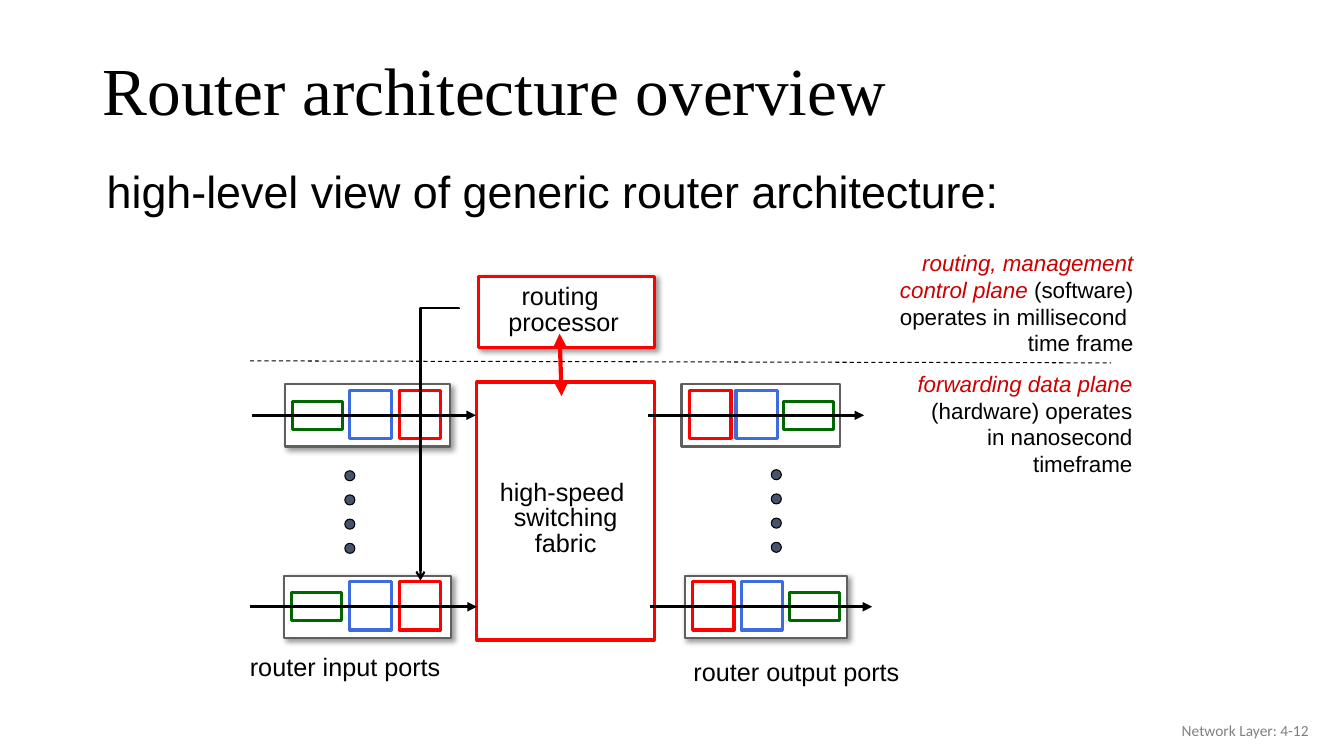
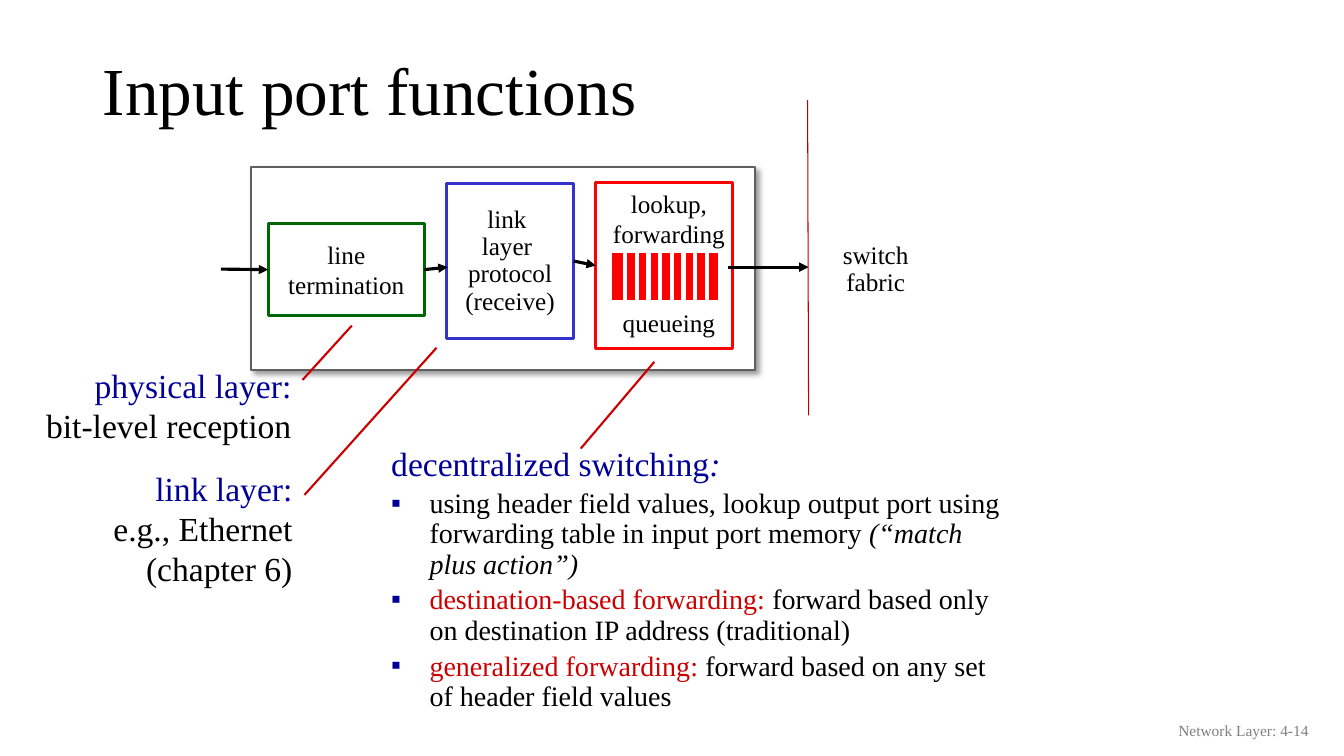
from dataclasses import dataclass

from lxml import etree
from pptx import Presentation
from pptx import util as u
from pptx.dml.color import RGBColor
from pptx.enum import dml, shapes, text
from pptx.oxml.ns import qn


@dataclass(frozen=True)
class Theme:
    black: str = "000000"
    white: str = "FFFFFF"
    red: str = "FF0000"
    accent: str = "CC0000"
    divider: str = "C00000"
    green: str = "006600"
    blue: str = "3C6CDF"
    link_blue: str = "3333CC"
    navy: str = "000099"
    slate: str = "44546A"
    frame_gray: str = "5F5F5F"
    footer_gray: str = "808080"
    sans: str = "Arial"
    serif: str = "Times New Roman"
    footer_font: str = "Calibri"
    title: int = 48
    subtitle: int = 32
    heading: int = 24
    body: int = 20
    label: int = 18
    note: int = 16
    footer: int = 11


theme = Theme()
STRAIGHT = shapes.MSO_CONNECTOR.STRAIGHT
RECTANGLE = shapes.MSO_SHAPE.RECTANGLE
LEFT, CENTER, RIGHT = text.PP_ALIGN.LEFT, text.PP_ALIGN.CENTER, text.PP_ALIGN.RIGHT


def style(item, color, weight, fill=None, shadow=False, head=None, tail=None):
    """Set outline, fill, shadow and arrowheads of a shape or connector."""
    item.line.color.rgb = RGBColor.from_string(color)
    item.line.width = u.Pt(weight)
    if fill:
        item.fill.solid()
        item.fill.fore_color.rgb = RGBColor.from_string(fill)
    properties = item._element.spPr
    for tag, kind in (("a:headEnd", head), ("a:tailEnd", tail)):
        if kind:
            etree.SubElement(properties.find(qn("a:ln")), qn(tag), type=kind)
    effects = etree.SubElement(properties, qn("a:effectLst"))
    if shadow:
        outer = etree.SubElement(effects, qn("a:outerShdw"), blurRad=str(u.Pt(4)),
                                 dist=str(u.Pt(3)), dir="2700000", algn="tl", rotWithShape="0")
        shade = etree.SubElement(outer, qn("a:srgbClr"), val=theme.black)
        etree.SubElement(shade, qn("a:alpha"), val="40000")
    return item


def write(shape, paragraphs, size, font, align=LEFT, spacing=1.0, wrap=False,
          middle=False, bullets=False):
    """Fill a shape; a paragraph is a string or a list of (text, colour, italic)."""
    frame = shape.text_frame
    frame.word_wrap = wrap
    frame.vertical_anchor = text.MSO_ANCHOR.MIDDLE if middle else text.MSO_ANCHOR.TOP
    fits = not (wrap or middle)
    frame.auto_size = text.MSO_AUTO_SIZE.SHAPE_TO_FIT_TEXT if fits else text.MSO_AUTO_SIZE.NONE
    for index, runs in enumerate(paragraphs):
        if isinstance(runs, str):
            runs = [(runs, theme.black, False)]
        paragraph = frame.add_paragraph() if index else frame.paragraphs[0]
        paragraph.alignment = align
        paragraph.line_spacing = spacing
        if bullets:
            properties = paragraph._p.get_or_add_pPr()
            properties.set("marL", str(u.Inches(0.38)))
            properties.set("indent", str(-u.Inches(0.38)))
            if index:
                bullet_color = etree.SubElement(properties, qn("a:buClr"))
                etree.SubElement(bullet_color, qn("a:srgbClr"), val=theme.navy)
                etree.SubElement(properties, qn("a:buChar"), char="▪")
            else:
                etree.SubElement(properties, qn("a:buNone"))
            paragraph.space_before = u.Pt(4 if index else 0)
        paragraph.font.size = u.Pt(size)
        paragraph.font.name = font
        for words, color, italic in runs:
            run = paragraph.add_run()
            run.text = words
            target = run.font if len(runs) > 1 else paragraph.font
            target.color.rgb = RGBColor.from_string(color)
            target.italic = italic


presentation = Presentation()
presentation.slide_width, presentation.slide_height = u.Inches(13.33), u.Inches(7.5)

# Shared title position, on the master
master_title = presentation.slide_master.placeholders[0]
master_title.left, master_title.top = u.Inches(0.92), u.Inches(0.44)
master_title.width, master_title.height = u.Inches(11.5), u.Inches(0.98)

# Slides with title and footer
slides = []
for layout, title, footer, footer_font in (
    (5, "Router architecture overview", "Network Layer: 4-12", theme.footer_font),
    (1, "Input port functions", "Network Layer: 4-14", theme.serif),
):
    slide = presentation.slides.add_slide(presentation.slide_layouts[layout])
    write(slide.shapes.title, [title], theme.title, theme.serif, spacing=0.9,
          wrap=True, middle=True)
    footer_box = slide.shapes.add_textbox(*map(u.Inches, (10.08, 7.05, 3, 0.4)))
    write(footer_box, [[(footer, theme.footer_gray, False)]], theme.footer, footer_font,
          RIGHT, wrap=True, middle=True)
    slides.append(slide)
overview, functions = slides

# Overview: subtitle
subtitle = overview.shapes.add_textbox(*map(u.Inches, (0.96, 1.58, 11.8, 0.64)))
write(subtitle, ["high-level view of generic router architecture:"], theme.subtitle,
      theme.sans, wrap=True)

# Overview: switching fabric and routing processor
for place, label_place, lines, shadow in (
    ((4.73, 3.79, 1.76, 2.56), (4.85, 4.72, 1.52, 0.87),
     ["high-speed ", "switching", "fabric"], False),
    ((4.75, 2.74, 1.74, 0.71), (4.94, 2.78, 1.3, 0.61), ["routing ", "processor"], True),
):
    block = overview.shapes.add_shape(RECTANGLE, *map(u.Inches, place))
    style(block, theme.red, 2.25, theme.white, shadow)
    label = overview.shapes.add_textbox(*map(u.Inches, label_place))
    write(label, lines, theme.label, theme.sans, CENTER, 0.85)
control_link = overview.shapes.add_connector(STRAIGHT, *map(u.Inches, (5.55, 3.31, 5.57, 3.93)))
style(control_link, theme.red, 3, head="triangle", tail="triangle")

# Overview: ports, each with three stages crossed by an arrow
for left, top, width, green_left, blue_left, red_left, start, end, shadow in (
    (2.83, 3.81, 1.63, 2.9, 3.47, 3.96, 2.5, 4.72, True),
    (2.82, 5.71, 1.65, 2.89, 3.47, 3.96, 2.48, 4.73, True),
    (6.76, 3.81, 1.57, 7.77, 7.3, 6.84, 6.43, 8.57, False),
    (6.79, 5.71, 1.61, 7.83, 7.35, 6.87, 6.45, 8.65, True),
):
    port = overview.shapes.add_shape(RECTANGLE, *map(u.Inches, (left, top, width, 0.62)))
    style(port, theme.frame_gray, 1.5, theme.white, shadow)
    for stage_left, drop, stage_width, height, color in (
        (green_left, 0.17, 0.5, 0.28, theme.green),
        (blue_left, 0.06, 0.41, 0.48, theme.blue),
        (red_left, 0.06, 0.41, 0.48, theme.red),
    ):
        stage = overview.shapes.add_shape(
            RECTANGLE, *map(u.Inches, (stage_left, top + drop, stage_width, height)))
        style(stage, color, 2.25, theme.white)
    middle = top + 0.31
    flow = overview.shapes.add_connector(STRAIGHT, *map(u.Inches, (start, middle, end, middle)))
    style(flow, theme.black, 2.25, tail="triangle")

# Overview: dots between ports and port captions
for dot_left, dot_top, caption, caption_place in (
    (3.42, 4.67, "router input ports", (2.38, 6.41, 2.09, 0.4)),
    (7.65, 4.66, "router output ports", (6.78, 6.46, 2.24, 0.4)),
):
    for step in range(4):
        dot = overview.shapes.add_shape(
            shapes.MSO_SHAPE.OVAL,
            *map(u.Inches, (dot_left, dot_top + step * 0.24, 0.1, 0.1)))
        style(dot, theme.black, 0.75, theme.slate)
    caption_box = overview.shapes.add_textbox(*map(u.Inches, caption_place))
    write(caption_box, [caption], theme.label, theme.sans)

# Overview: plane boundary and notes
boundary = overview.shapes.add_connector(STRAIGHT, *map(u.Inches, (2.48, 3.58, 11.02, 3.6)))
style(boundary, theme.black, 0.75)
boundary.line.dash_style = dml.MSO_LINE.DASH
for place, lines in (
    ((8.94, 3.62, 2.39, 1.18),
     [[("forwarding data plane ", theme.accent, True),
       ("(hardware) operates in nanosecond timeframe", theme.black, False)]]),
    ((8.19, 2.42, 3.15, 1.18),
     [[("routing, management", theme.accent, True)],
      [("control plane ", theme.accent, True), ("(software)", theme.black, False)],
      "operates in millisecond ", "time frame"]),
):
    note = overview.shapes.add_textbox(*map(u.Inches, place))
    write(note, lines, theme.note, theme.sans, RIGHT, wrap=True)

# Overview: elbow arrow from processor to port, turned a quarter
elbow = overview.shapes.add_connector(
    shapes.MSO_CONNECTOR.ELBOW, *map(u.Inches, (3.01, 4.22, 5.71, 4.6)))
style(elbow, theme.black, 1.5, tail="arrow")
elbow_properties = elbow._element.spPr
elbow_properties.find(qn("a:xfrm")).set("rot", "5400000")
geometry = elbow_properties.find(qn("a:prstGeom"))
adjustments = geometry.find(qn("a:avLst"))
if adjustments is None:
    adjustments = etree.SubElement(geometry, qn("a:avLst"))
etree.SubElement(adjustments, qn("a:gd"), name="adj1", fmla="val -100")

# Functions: port frame and its three stages
frame_box = functions.shapes.add_shape(RECTANGLE, *map(u.Inches, (2.49, 1.66, 5, 2.01)))
style(frame_box, theme.frame_gray, 1.5, theme.white, shadow=True)
stages = []
for place, color, lines, spacing in (
    ((2.66, 2.22, 1.55, 0.91), theme.green, ["line", "termination"], 1.0),
    ((4.43, 1.82, 1.26, 1.54), theme.link_blue,
     ["link ", "layer ", "protocol", "(receive)"], 0.9),
    ((5.91, 1.81, 1.36, 1.65), theme.red, [], 1.0),
):
    stage = functions.shapes.add_shape(RECTANGLE, *map(u.Inches, place))
    style(stage, color, 2.25, theme.white)
    write(stage, lines, theme.label, theme.serif, CENTER, spacing, middle=True)
    stages.append(stage)
termination, link_layer, lookup = stages

lookup_label = functions.shapes.add_textbox(*map(u.Inches, (5.95, 1.82, 1.37, 1.6)))
write(lookup_label, ["lookup,", "forwarding", "queueing"], theme.label, theme.serif, CENTER)
lookup_label.text_frame.paragraphs[2].space_before = u.Pt(42)

# Functions: queue with white separators
queue = functions.shapes.add_shape(RECTANGLE, *map(u.Inches, (6.05, 2.49, 1.09, 0.51)))
style(queue, theme.white, 3, theme.red)
for step in range(8):
    x = 6.2 + step * 0.81 / 7
    separator = functions.shapes.add_connector(STRAIGHT, *map(u.Inches, (x, 2.5, x, 2.99)))
    style(separator, theme.white, 3)

# Functions: arrows along the port
for ends, source, target in (
    ((2.19, 2.67, 2.65, 2.67), None, termination),
    ((4.23, 2.65, 4.44, 2.65), termination, None),
    ((5.7, 2.6, 5.91, 2.61), link_layer, lookup),
    ((7.22, 2.65, 8.02, 2.65), None, None),
):
    arrow = functions.shapes.add_connector(STRAIGHT, *map(u.Inches, ends))
    style(arrow, theme.black, 2.25, tail="triangle")
    if source:
        arrow.begin_connect(source, 3)
    if target:
        arrow.end_connect(target, 1)

# Functions: switch fabric edge and callout lines
for ends, color, weight in (
    ((8.01, 0.99, 8.02, 4.12), theme.divider, 0.75),
    ((3, 3.77, 3.49, 3.23), theme.accent, 1.5),
    ((3.02, 4.91, 4.33, 3.45), theme.accent, 1.5),
    ((5.76, 4.45, 6.49, 3.59), theme.accent, 1.5),
):
    style(functions.shapes.add_connector(STRAIGHT, *map(u.Inches, ends)), color, weight)
fabric_label = functions.shapes.add_textbox(*map(u.Inches, (8.11, 2.22, 1.15, 0.91)))
write(fabric_label, ["switch", "fabric"], theme.label, theme.serif, CENTER, 0.9, middle=True)

# Functions: layer callouts
for place, heading, details in (
    ((0.28, 3.57, 2.71, 0.91), "physical layer:", ["bit-level reception"]),
    ((0.95, 4.59, 2.05, 1.31), "link layer:", ["e.g., Ethernet", "(chapter 6)"]),
):
    callout = functions.shapes.add_textbox(*map(u.Inches, place))
    write(callout, [[(heading, theme.navy, False)], *details], theme.heading, theme.serif, RIGHT)

# Functions: decentralized switching list
body = functions.placeholders[1]
body.left, body.top, body.width, body.height = map(u.Inches, (3.78, 4.39, 6.3, 2.92))
write(body, [
    [("decentralized switching", theme.navy, False), (":", theme.navy, True)],
    [("using header field values, lookup output port using forwarding table in input "
      "port memory ", theme.black, False), ("(“match plus action”)", theme.black, True)],
    [("destination-based forwarding: ", theme.accent, False),
     ("forward based only on destination IP address (traditional)", theme.black, False)],
    [("generalized forwarding: ", theme.accent, False),
     ("forward based on any set of header field values", theme.black, False)],
], theme.body, theme.serif, spacing=0.9, wrap=True, bullets=True)
body.text_frame.paragraphs[0].font.size = u.Pt(theme.heading)

presentation.save("out.pptx")
